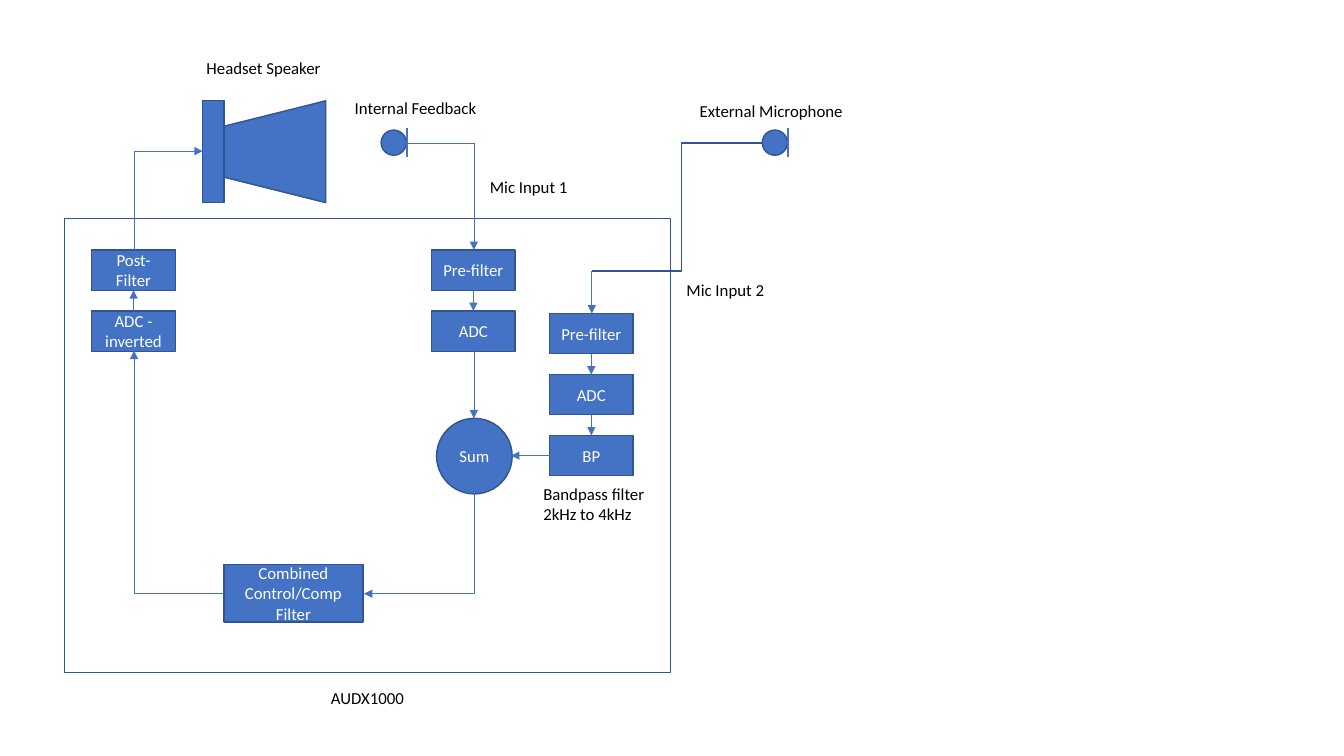
import pptx
import pptx.util
import pptx.dml.color
import pptx.enum.shapes
import pptx.enum.text
import pptx.oxml
import pptx.oxml.ns

Inches = pptx.util.Inches
Pt = pptx.util.Pt
KIND = pptx.enum.shapes.MSO_SHAPE
LINK = pptx.enum.shapes.MSO_CONNECTOR
ALIGN = pptx.enum.text.PP_ALIGN

COLORS = {"fill": "4472C4", "edge": "325491", "white": "FFFFFF", "black": "000000"}
BOX_W, BOX_H = 0.83, 0.4
STEP = 0.605
POST_X, PRE_X, EXT_X = 0.91, 4.28, 5.45
TOP, EXT_TOP = 2.48, 3.11
POST_MID, PRE_MID, EXT_MID = 1.33, 4.7, 5.87


def rgb(name):
    """Return the named colour."""
    return pptx.dml.color.RGBColor.from_string(COLORS[name])


def style(shape, filled=True):
    """Give a shape its edge and its fill."""
    shape.shadow.inherit = False
    shape.line.color.rgb = rgb("edge")
    shape.line.width = Pt(1)
    if filled:
        shape.fill.solid()
        shape.fill.fore_color.rgb = rgb("fill")
    else:
        shape.fill.background()


def write(shape, text, color, align):
    """Write wrapped 12 point text into a shape."""
    frame = shape.text_frame
    frame.word_wrap = True
    frame.text = text
    para = frame.paragraphs[0]
    para.alignment = align
    font = para.runs[0].font
    font.name, font.size = "Calibri", Pt(12)
    font.color.rgb = rgb(color)


def block(shapes, kind, at, text="", turn=0, filled=True):
    """Add a preset shape, with white centred text if there is any."""
    shape = shapes.add_shape(kind, *map(Inches, at))
    shape.rotation = turn
    style(shape, filled)
    if text:
        shape.text_frame.vertical_anchor = pptx.enum.text.MSO_ANCHOR.MIDDLE
        write(shape, text, "white", ALIGN.CENTER)


def label(shapes, at, text, align=ALIGN.LEFT):
    """Add a black caption."""
    box = shapes.add_textbox(*map(Inches, at))
    write(box, text, "black", align)
    box.text_frame.auto_size = pptx.enum.text.MSO_AUTO_SIZE.SHAPE_TO_FIT_TEXT


def line(shapes, start, end, arrow=True, width=0.5, kind=LINK.STRAIGHT):
    """Add a connector, with an arrowhead at its end if asked."""
    link = shapes.add_connector(kind, *map(Inches, (*start, *end)))
    link.line.color.rgb = rgb("fill")
    link.line.width = Pt(width)
    props = link._element.spPr
    if arrow:
        tail = pptx.oxml.parse_xml(
            '<a:tailEnd %s type="triangle"/>' % pptx.oxml.ns.nsdecls("a"))
        link.line._get_or_add_ln().append(tail)
    props.append(pptx.oxml.parse_xml(
        "<a:effectLst %s/>" % pptx.oxml.ns.nsdecls("a")))
    return link


def bend(shapes, start, end, down=False):
    """Add a one-corner arrow; down makes its first leg vertical."""
    (x1, y1), (x2, y2) = start, end
    if down:
        # The frame lies on its side about the same centre.
        mid_x, mid_y = (x1 + x2) / 2, (y1 + y2) / 2
        half_x, half_y = (y2 - y1) / 2, (x1 - x2) / 2
        start = (mid_x - half_x, mid_y - half_y)
        end = (mid_x + half_x, mid_y + half_y)
    link = line(shapes, start, end, kind=LINK.ELBOW)
    props = link._element.spPr
    props.find(pptx.oxml.ns.qn("a:prstGeom")).set("prst", "bentConnector2")
    if down:
        props.find(pptx.oxml.ns.qn("a:xfrm")).set("rot", "5400000")


def mic(shapes, left):
    """Add a microphone: a circle and its plate."""
    parts = shapes.add_group_shape().shapes
    block(parts, KIND.OVAL, (left, 1.29, 0.25, 0.25), turn=270)
    plate = left + 0.255
    line(parts, (plate, 1.56), (plate, 1.27), arrow=False, width=1.5)


def speaker(shapes):
    """Add the headset speaker: a cone and its base."""
    parts = shapes.add_group_shape().shapes
    block(parts, KIND.TRAPEZOID, (2.22, 1, 1.01, 1.01), turn=270)
    block(parts, KIND.RECTANGLE, (1.61, 1.4, 1.01, 0.21), turn=90)


def stack(shapes, left, top, names, up=False):
    """Add a column of boxes with arrows between them."""
    mid = left + BOX_W / 2
    for i, name in enumerate(names):
        y = top + i * STEP
        block(shapes, KIND.RECTANGLE, (left, y, BOX_W, BOX_H), name)
        if i:
            ends = [(mid, y - STEP + BOX_H), (mid, y)]
            line(shapes, *(ends[::-1] if up else ends))


def wire(shapes, points):
    """Add an open outline through the points."""
    spots = [(Inches(x), Inches(y)) for x, y in points]
    build = shapes.build_freeform(*spots[0])
    build.add_line_segments(spots[1:], close=False)
    style(build.convert_to_shape(), filled=False)


def main():
    """Build the slide and save it."""
    deck = pptx.Presentation()
    deck.slide_width, deck.slide_height = Inches(13.33), Inches(7.5)
    shapes = deck.slides.add_slide(deck.slide_layouts[6]).shapes

    block(shapes, KIND.RECTANGLE, (0.64, 2.17, 6.01, 4.5), filled=False)
    mic(shapes, 3.78)
    mic(shapes, 7.56)
    speaker(shapes)

    stack(shapes, POST_X, TOP, ["Post-Filter", "ADC - inverted"], up=True)
    stack(shapes, PRE_X, TOP, ["Pre-filter", "ADC"])
    stack(shapes, EXT_X, EXT_TOP, ["Pre-filter", "ADC", "BP"])
    block(shapes, KIND.OVAL, (4.33, 4.15, 0.75, 0.75), "Sum")
    block(shapes, KIND.RECTANGLE, (2.22, 5.6, 1.38, 0.57),
          "Combined Control/Comp Filter")

    line(shapes, (4.04, 1.42), (PRE_MID, 1.42), arrow=False)
    line(shapes, (PRE_MID, 1.42), (PRE_MID, TOP))
    line(shapes, (PRE_MID, 3.48), (PRE_MID, 4.15))
    line(shapes, (EXT_X, 4.52), (5.07, 4.52))
    wire(shapes, [(7.56, 1.42), (6.76, 1.42), (6.76, 2.69), (EXT_MID, 2.69)])
    line(shapes, (EXT_MID, 2.69), (EXT_MID, EXT_TOP))
    bend(shapes, (POST_MID, TOP), (2.01, 1.5), down=True)
    bend(shapes, (PRE_MID, 4.89), (3.61, 5.89), down=True)
    bend(shapes, (2.22, 5.89), (POST_MID, 3.48))

    label(shapes, (1.95, 0.52, 1.47, 0.3), "Headset Speaker")
    label(shapes, (3.42, 0.92, 1.47, 0.3), "Internal Feedback")
    label(shapes, (6.84, 0.95, 1.68, 0.3), "External Microphone")
    label(shapes, (4.76, 1.7, 1.02, 0.3), "Mic Input 1")
    label(shapes, (6.71, 2.73, 1.02, 0.3), "Mic Input 2")
    label(shapes, (5.29, 4.75, 1.24, 0.5), "Bandpass filter 2kHz to 4kHz")
    label(shapes, (2.91, 6.77, 1.47, 0.3), "AUDX1000", ALIGN.CENTER)

    deck.save("out.pptx")


main()
